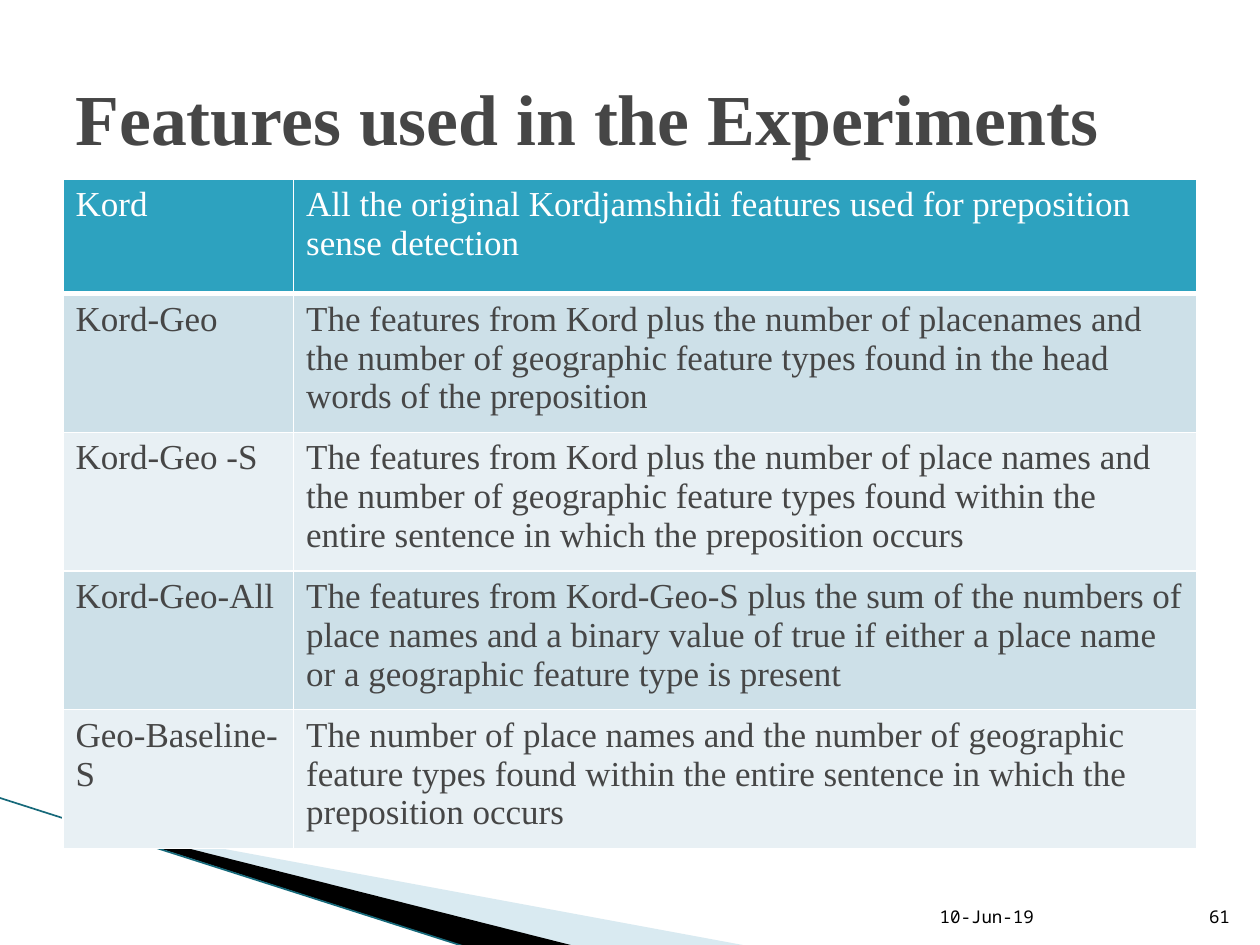
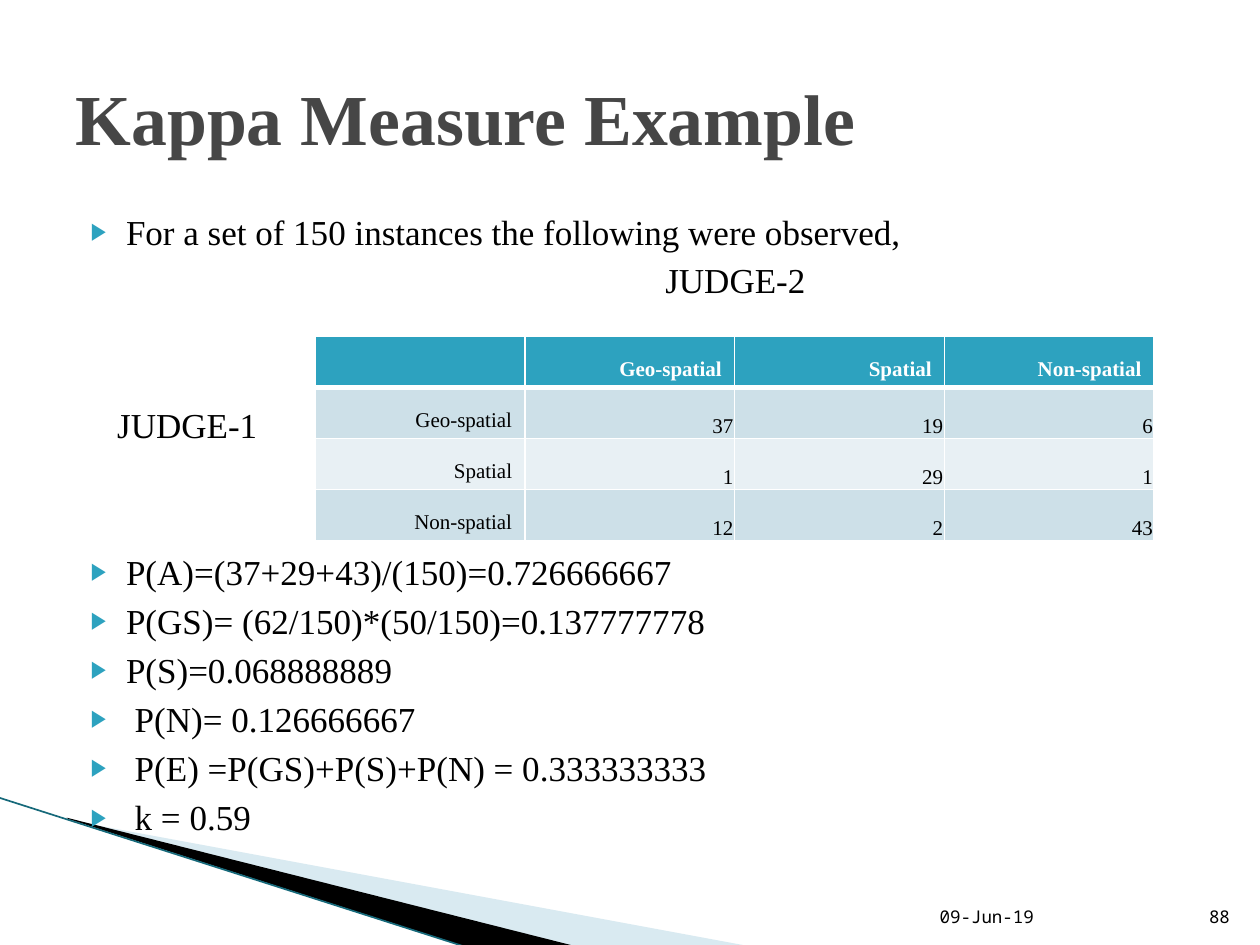
"""Build two slides on geospatial preposition experiments: feature sets and a kappa example."""
import lxml.etree
import pptx
import pptx.dml.color
import pptx.enum.shapes
import pptx.enum.text
import pptx.oxml
import pptx.oxml.ns
import pptx.util

Inches = pptx.util.Inches
Pt = pptx.util.Pt
qn = pptx.oxml.ns.qn
ALIGN = pptx.enum.text.PP_ALIGN
ANCHOR = pptx.enum.text.MSO_ANCHOR

SERIF, MONO = "Times New Roman", "Noto Sans Mono"
WHITE, BLACK, GREY = "FFFFFF", "000000", "464646"
TEAL, PALE_BLUE, DARK_TEAL = "2DA2BF", "A0CBDC", "16697A"
BANDS = ["E8F0F4", "CDE0E8"]


def color(hex_string):
    return pptx.dml.color.RGBColor.from_string(hex_string)


def style(paragraph, size, hex_string, bold=False, font=SERIF, align=ALIGN.LEFT):
    paragraph.alignment = align
    for run in paragraph.runs:
        run.font.name = font
        run.font.size = Pt(size)
        run.font.bold = bold
        run.font.color.rgb = color(hex_string)


prs = pptx.Presentation()
prs.slide_width, prs.slide_height = Inches(10), Inches(7.5)
features = prs.slides.add_slide(prs.slide_layouts[5])
kappa = prs.slides.add_slide(prs.slide_layouts[1])

swoosh = []
for points, frame, fill in [
    ([(0.55, 6.51), (5.95, 7.51), (4.56, 7.51), (0.55, 6.5)], (0.78, 5.47, 4.16, 1.58), PALE_BLUE),
    ([(0.53, 6.49), (4.57, 7.51), (3.72, 7.52), (0.54, 6.5)], (-0.06, 6.33, 4.16, 0.92), BLACK),
]:
    corners = [(Inches(x), Inches(y)) for x, y in points]
    outline = features.shapes.build_freeform(*corners[0])
    outline.add_line_segments(corners[1:])
    wedge = outline.convert_to_shape()
    wedge.shadow.inherit = False
    wedge.fill.solid()
    wedge.fill.fore_color.rgb = color(fill)
    wedge.line.fill.background()
    left, top, width, height = [Inches(length) for length in frame]
    shift_x, shift_y = wedge.left - left, wedge.top - top
    for point in wedge.element.iter(qn("a:pt")):
        point.set("x", str(int(point.get("x")) + shift_x))
        point.set("y", str(int(point.get("y")) + shift_y))
    for contour in wedge.element.iter(qn("a:path")):
        contour.set("w", str(width))
        contour.set("h", str(height))
    wedge.left, wedge.top, wedge.width, wedge.height = left, top, width, height
    swoosh.append(wedge)
tint = swoosh[0].element.spPr.find(qn("a:solidFill"))[0]
lxml.etree.SubElement(tint, qn("a:alpha"), val="40000")

edge = features.shapes.add_connector(
    pptx.enum.shapes.MSO_CONNECTOR.STRAIGHT,
    Inches(-0.01), Inches(6.33), Inches(3.71), Inches(7.52))
edge.line.color.rgb = color(DARK_TEAL)
edge.line.width = Pt(0.95)
lxml.etree.SubElement(edge.element.spPr, qn("a:effectLst"))
swoosh.append(edge)
for position, part in enumerate(swoosh, start=2):
    prs.slide_master.shapes.element.insert(position, part.element)

for slide, heading, date, number in [
    (features, "Features used in the Experiments", "10-Jun-19", "61"),
    (kappa, "Kappa Measure Example", "09-Jun-19", "88"),
]:
    title = slide.shapes.title
    title.left, title.top = Inches(0.5), Inches(0.3)
    title.width, title.height = Inches(9), Inches(1.25)
    title.text_frame.text = heading
    title.text_frame.auto_size = pptx.enum.text.MSO_AUTO_SIZE.NONE
    title.text_frame.vertical_anchor = ANCHOR.MIDDLE
    style(title.text_frame.paragraphs[0], 41, GREY, bold=True)
    for words, left, width, align in [
        (date, 7.36, 2.1, ALIGN.LEFT),
        (number, 9.46, 0.4, ALIGN.RIGHT),
    ]:
        footer = slide.shapes.add_textbox(Inches(left), Inches(7.01), Inches(width), Inches(0.4))
        footer.text_frame.word_wrap = True
        footer.text_frame.vertical_anchor = ANCHOR.BOTTOM
        footer.text_frame.text = words
        style(footer.text_frame.paragraphs[0], 10, BLACK, font=MONO, align=align)

observations = [
    ("For a set of 150 instances the following were observed,", 0.4, 4, True),
    ("JUDGE-2", 4.68, 3.5, False),
    ("JUDGE-1", 0.33, 59, False),
    ("P(A)=(37+29+43)/(150)=0.726666667", 0.4, 60, True),
    ("P(GS)= (62/150)*(50/150)=0.137777778", 0.4, 4, True),
    ("P(S)=0.068888889", 0.4, 4, True),
    (" P(N)= 0.126666667", 0.4, 4, True),
    (" P(E) =P(GS)+P(S)+P(N) = 0.333333333", 0.4, 4, True),
    (" k = 0.59", 0.4, 4, True),
]
body = kappa.placeholders[1]
body.left, body.top = Inches(0.5), Inches(1.62)
body.width, body.height = Inches(9), Inches(4.95)
body.text_frame.auto_size = pptx.enum.text.MSO_AUTO_SIZE.NONE
body.text_frame.text = "\n".join(words for words, *rest in observations)
for paragraph, (words, indent, gap, bulleted) in zip(body.text_frame.paragraphs, observations):
    style(paragraph, 20, BLACK)
    paragraph.line_spacing = Pt(24)
    paragraph.space_before = Pt(gap)
    properties = paragraph._p.get_or_add_pPr()
    properties.set("marL", str(Inches(indent)))
    properties.set("indent", str(Inches(-0.28) if bulleted else 0))
    if bulleted:
        bullet_color = lxml.etree.SubElement(properties, qn("a:buClr"))
        lxml.etree.SubElement(bullet_color, qn("a:srgbClr"), val=TEAL)
        lxml.etree.SubElement(properties, qn("a:buSzPct"), val="68000")
        lxml.etree.SubElement(properties, qn("a:buFont"), typeface="Arial")
        lxml.etree.SubElement(properties, qn("a:buChar"), char="\u25b6")
    else:
        lxml.etree.SubElement(properties, qn("a:buNone"))

feature_sets = [
    ("Kord", "All the original Kordjamshidi features used for preposition sense detection"),
    ("Kord-Geo", "The features from Kord plus the number of placenames and the number of "
     "geographic feature types found in the head words of the preposition"),
    ("Kord-Geo -S", "The features from Kord plus the number of place names and the number of "
     "geographic feature types found within the entire sentence in which the preposition occurs"),
    ("Kord-Geo-All", "The features from Kord-Geo-S plus the sum of the numbers of place names "
     "and a binary value of true if either a place name or a geographic feature type is present"),
    ("Geo-Baseline-S", "The number of place names and the number of geographic feature types "
     "found within the entire sentence in which the preposition occurs"),
]
feature_table = features.shapes.add_table(
    5, 2, Inches(0.5), Inches(1.42), Inches(9), Inches(4.55)).table
feature_table.columns[0].width = Inches(1.83)
feature_table.columns[1].width = Inches(7.17)

judgements = [
    ("", "Geo-spatial", "Spatial", "Non-spatial"),
    ("Geo-spatial", "37", "19", "6"),
    ("Spatial", "1", "29", "1"),
    ("Non-spatial", "12", "2", "43"),
]
agreement = kappa.shapes.add_table(
    4, 4, Inches(2.5), Inches(2.67), Inches(6.66), Inches(1.62)).table

for table, entries, size, ink, header_bold, align, anchor in [
    (feature_table, feature_sets, 20, GREY, False, ALIGN.LEFT, ANCHOR.TOP),
    (agreement, judgements, 12, BLACK, True, ALIGN.RIGHT, ANCHOR.BOTTOM),
]:
    for r, entry in enumerate(entries):
        for c, words in enumerate(entry):
            cell = table.cell(r, c)
            cell.vertical_anchor = anchor
            cell.fill.solid()
            cell.fill.fore_color.rgb = color(BANDS[r % 2] if r else TEAL)
            cell.text_frame.text = words
            style(cell.text_frame.paragraphs[0], size, ink if r else WHITE,
                  bold=header_bold and r == 0, align=align)
            if words.isdigit():
                cell.margin_left = cell.margin_right = cell.margin_top = Inches(0.01)
                cell.margin_bottom = 0
            for position, side in enumerate(["lnL", "lnR", "lnT", "lnB"]):
                under_header = (r, side) in [(0, "lnB"), (1, "lnT")]
                border = pptx.oxml.parse_xml(
                    f'<a:{side} {pptx.oxml.ns.nsdecls("a")} w="{Pt(3 if under_header else 1)}">'
                    f'<a:solidFill><a:srgbClr val="{WHITE}"/></a:solidFill></a:{side}>')
                cell._tc.get_or_add_tcPr().insert(position, border)

prs.save("out.pptx")
